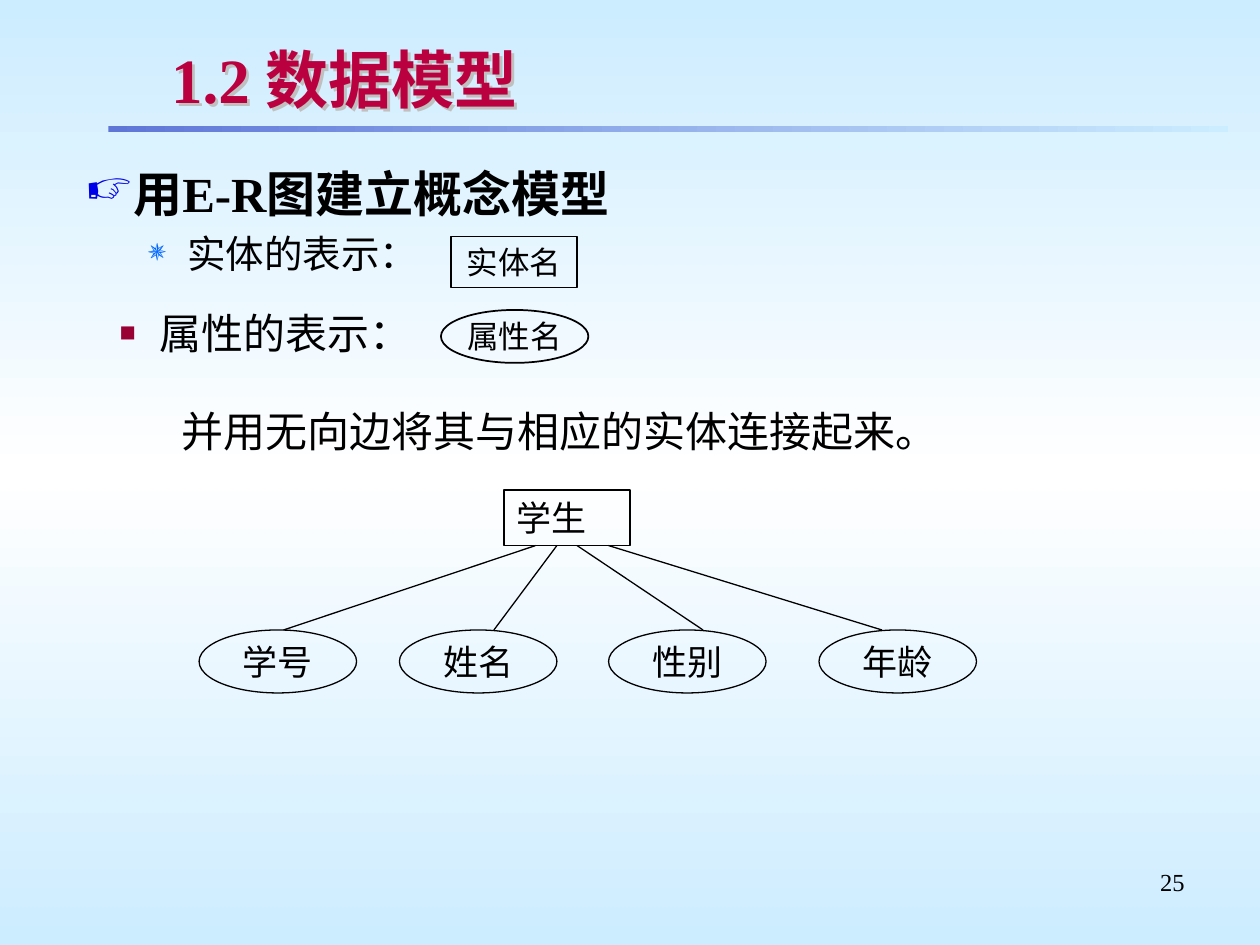
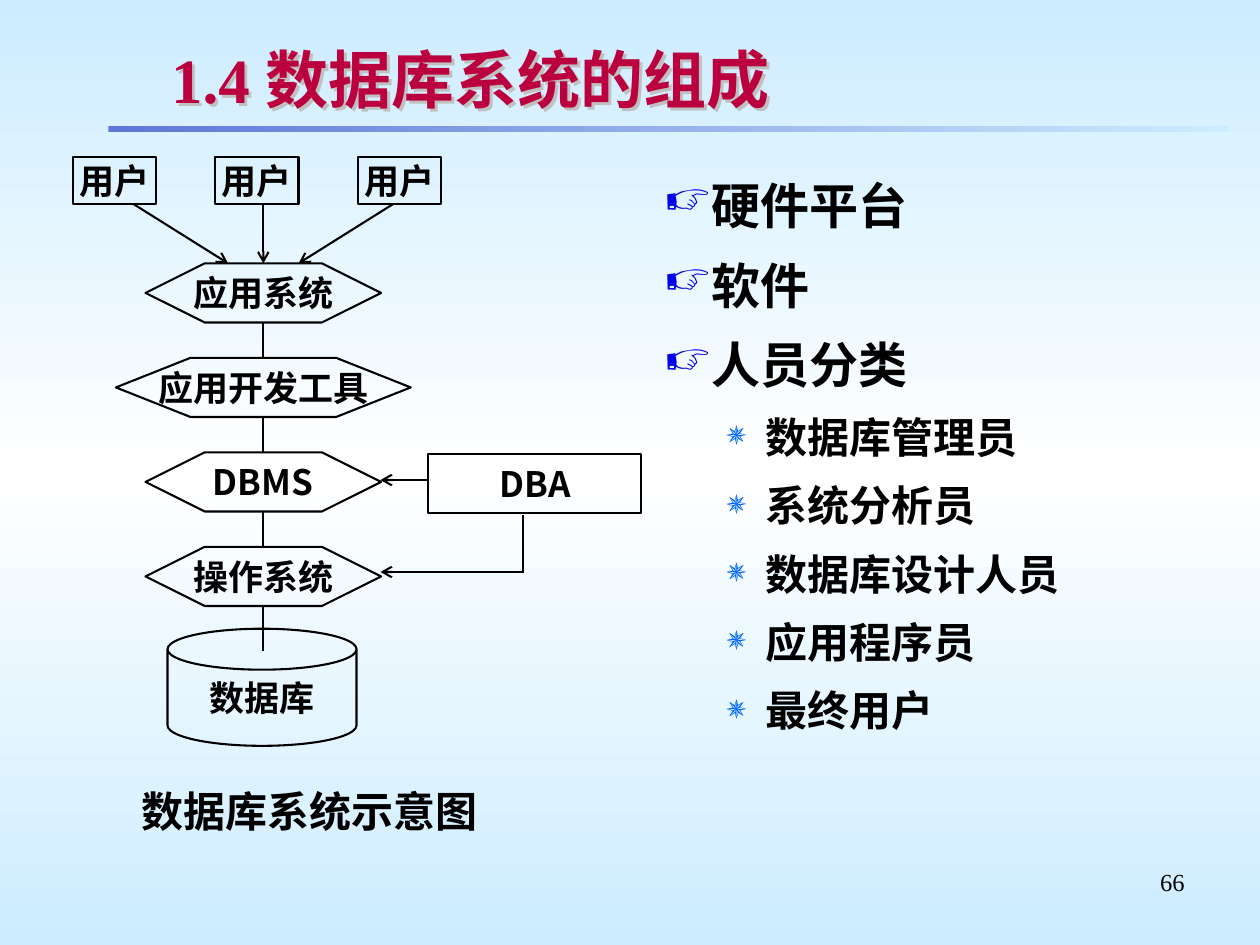
from lxml.etree import SubElement
from pptx import Presentation
from pptx.dml.color import RGBColor
from pptx.enum.shapes import MSO_CONNECTOR, MSO_SHAPE
from pptx.enum.text import MSO_ANCHOR, PP_ALIGN
from pptx.oxml.ns import qn
from pptx.util import Inches, Pt

COLORS = {
    "sky": "CCECFF", "white": "FFFFFF", "rule": "5F76D7", "title": "BA003E",
    "ink": "000000", "hand": "0000E8", "star": "0066FF", "square": "990033",
    "shade": "C0C0C0",
}
SERIF, SANS, PLAIN, SYMBOL = "Times New Roman", "Noto Sans CJK SC", "Karla", "OpenSymbol"
FONTS = {
    "title": {"name": SERIF, "size": Pt(36), "bold": True},
    "heading": {"name": SERIF, "size": Pt(28), "bold": True},
    "detail": {"name": SERIF, "size": Pt(22), "bold": False},
    "role": {"name": SANS, "size": Pt(24), "bold": True},
    "note": {"name": PLAIN, "size": Pt(24)},
    "symbol": {"name": PLAIN, "size": Pt(18)},
    "entity_symbol": {"name": SERIF, "size": Pt(18)},
    "entity": {"name": SERIF, "size": Pt(20)},
    "system": {"name": SANS, "size": Pt(20), "bold": True},
    "number": {"name": SERIF, "size": Pt(14)},
}
BULLETS = {
    "hand": {"char": "☞", "font": SYMBOL, "percent": 95, "margin": 0.38, "hang": 0.38},
    "star": {"char": "✵", "font": SYMBOL, "percent": 80, "margin": 0.81, "hang": 0.31},
    "square": {"char": "■", "font": SERIF, "percent": 64, "margin": 0.59, "hang": 0.32},
}


def apply(target, values):
    """Set every attribute given in a dict of format values."""
    for attribute, value in values.items():
        setattr(target, attribute, value)


def rgb(color):
    """Look up a named colour."""
    return RGBColor.from_string(COLORS[color])


def write(paragraph, text, style, color="ink"):
    """Add a styled run with Latin and East Asian fonts."""
    run = paragraph.add_run()
    run.text = text
    apply(run.font, FONTS[style])
    run.font.color.rgb = rgb(color)
    latin = run.font._element.find(qn("a:latin"))
    latin.addnext(latin.makeelement(qn("a:ea"), {"typeface": SANS}))


def set_gradient(fill, owner, angle, stops):
    """Fill with a linear gradient running through the named stops."""
    fill.gradient()
    fill.gradient_angle = angle
    stop_list = owner.find(".//" + qn("a:gsLst"))
    stop_list.clear()
    for index, color in enumerate(stops):
        position = 100000 * index // (len(stops) - 1)
        stop = SubElement(stop_list, qn("a:gs"), pos=str(position))
        SubElement(stop, qn("a:srgbClr"), val=COLORS[color])


def set_bullet(paragraph, kind):
    """Give a paragraph a hanging coloured bullet."""
    bullet = BULLETS[kind]
    properties = paragraph._p.get_or_add_pPr()
    properties.set("marL", str(Inches(bullet["margin"])))
    properties.set("indent", str(-Inches(bullet["hang"])))
    SubElement(SubElement(properties, qn("a:buClr")), qn("a:srgbClr"), val=COLORS[kind])
    SubElement(properties, qn("a:buSzPct"), val=str(bullet["percent"] * 1000))
    SubElement(properties, qn("a:buFont"), typeface=bullet["font"])
    SubElement(properties, qn("a:buChar"), char=bullet["char"])


def add_text_box(slide, box, anchor=MSO_ANCHOR.TOP, wrap=True):
    """Add an empty text box."""
    text_box = slide.shapes.add_textbox(*map(Inches, box))
    apply(text_box.text_frame, {"word_wrap": wrap, "vertical_anchor": anchor})
    return text_box


def add_label(slide, box, text, style, align=PP_ALIGN.LEFT, color="ink", **frame_format):
    """Add a one-paragraph text box."""
    label = add_text_box(slide, box, **frame_format)
    paragraph = label.text_frame.paragraphs[0]
    paragraph.alignment = align
    write(paragraph, text, style, color)
    return label


def add_outline(slide, box, items, spacing, align=PP_ALIGN.LEFT):
    """Add bulleted lines given as text, style, bullet and space before."""
    frame = add_text_box(slide, box).text_frame
    for index, (text, style, kind, before) in enumerate(items):
        paragraph = frame.add_paragraph() if index else frame.paragraphs[0]
        apply(paragraph, {"alignment": align, "line_spacing": spacing})
        if index:
            paragraph.space_before = Pt(before)
        set_bullet(paragraph, kind)
        write(paragraph, text, style)


def add_node(slide, kind, box, text, style, weight,
             align=PP_ALIGN.CENTER, anchor=MSO_ANCHOR.MIDDLE):
    """Add an outlined, unfilled diagram node."""
    node = slide.shapes.add_shape(kind, *map(Inches, box))
    node.shadow.inherit = False
    node.fill.background()
    node.line.color.rgb = rgb("ink")
    node.line.width = Pt(weight)
    apply(node.text_frame, {"word_wrap": False, "vertical_anchor": anchor})
    paragraph = node.text_frame.paragraphs[0]
    paragraph.alignment = align
    write(paragraph, text, style)
    return node


def add_link(slide, start, end, weight, arrow=False):
    """Draw a straight line, with an open arrowhead if asked."""
    link = slide.shapes.add_connector(MSO_CONNECTOR.STRAIGHT, *map(Inches, start + end))
    link.line.color.rgb = rgb("ink")
    link.line.width = Pt(weight)
    if arrow:
        SubElement(link.line._get_or_add_ln(), qn("a:tailEnd"), type="arrow")
    SubElement(link._element.spPr, qn("a:effectLst"))


def add_title(slide, title):
    """Write the shadowed section title."""
    heading = add_label(slide, (1.26, 0.29, 8.24, 0.67), title, "title",
                        color="title", anchor=MSO_ANCHOR.MIDDLE)
    effects = SubElement(heading._element.spPr, qn("a:effectLst"))
    shadow = SubElement(effects, qn("a:outerShdw"), dist="28398", dir="2700000")
    SubElement(shadow, qn("a:srgbClr"), val=COLORS["shade"])


def add_section_slide(deck, title, page):
    """Add a slide with the shared background, title, rule and page number."""
    slide = deck.slides.add_slide(deck.slide_layouts[6])
    set_gradient(slide.background.fill, slide.element, 90, ("sky", "white", "sky"))
    rule = slide.shapes.add_shape(
        MSO_SHAPE.RECTANGLE, *map(Inches, (0.86, 1, 8.89, 0.05)))
    rule.shadow.inherit = False
    rule.line.fill.background()
    set_gradient(rule.fill, rule.element, 0, ("rule", "sky"))
    add_label(slide, (7.17, 6.83, 2.33, 0.52), page, "number", PP_ALIGN.RIGHT)
    add_title(slide, title)
    return slide


def add_student_diagram(slide):
    """Draw the student entity joined to its attributes."""
    weight = 0.75
    add_node(slide, MSO_SHAPE.RECTANGLE, (4, 3.89, 1, 0.44), "学生", "entity",
             weight, PP_ALIGN.LEFT, MSO_ANCHOR.TOP)
    attributes = (("学号", 1.58, 4.25, 2.25), ("姓名", 3.17, 4.42, 3.92),
                  ("性别", 4.83, 4.58, 5.58), ("年龄", 6.5, 4.83, 7))
    for name, left, entity_x, attribute_x in attributes:
        add_node(slide, MSO_SHAPE.OVAL, (left, 5, 1.25, 0.5), name, "entity", weight)
        add_link(slide, (entity_x, 4.33), (attribute_x, 5), weight)


def add_system_diagram(slide):
    """Draw the database system layers from users to data."""
    weight, axis, height, pitch, first_top = 1.19, 2.09, 0.47, 0.75, 2.09
    for offset in (-1, 0, 1):
        add_node(slide, MSO_SHAPE.RECTANGLE, (1.71 + 1.13 * offset, 1.25, 0.66, 0.37),
                 "用户", "system", weight)
        add_link(slide, (axis + 1.03 * offset, 1.62),
                 (axis + 0.28 * offset, first_top), weight, True)
    layers = (("应用系统", 1.87, 1), ("应用开发工具", 2.34, 1.26),
              ("DBMS", 1.87, 1), ("操作系统", 1.87, 1))
    for index, (name, width, slant) in enumerate(layers):
        top = first_top + pitch * index
        layer = add_node(slide, MSO_SHAPE.HEXAGON,
                         (axis - width / 2, top, width, height), name, "system", weight)
        layer.adjustments[0] = slant
        link_end = 5.17 if index == len(layers) - 1 else top + pitch
        add_link(slide, (axis, top + height), (axis, link_end), weight)
    database = add_node(slide, MSO_SHAPE.CAN, (1.33, 4.99, 1.5, 0.93),
                        "数据库", "system", weight)
    database.adjustments[0] = 0.35
    add_node(slide, MSO_SHAPE.RECTANGLE, (3.4, 3.6, 1.69, height), "DBA", "system", weight)
    add_link(slide, (3.4, 3.81), (3.02, 3.81), weight, True)
    add_link(slide, (4.15, 4.09), (4.15, 4.55), weight)
    add_link(slide, (4.14, 4.54), (3.02, 4.54), weight, True)
    add_label(slide, (0.96, 6.2, 3, height), "数据库系统示意图", "role",
              PP_ALIGN.CENTER, anchor=MSO_ANCHOR.MIDDLE)


def build_model_slide(deck):
    """Build the slide on entity and attribute notation."""
    slide = add_section_slide(deck, "1.2 数据模型", "25")
    add_outline(slide, (0.58, 1.25, 4.79, 1.2),
                (("用E-R图建立概念模型", "heading", "hand", 0),
                 ("实体的表示：", "detail", "star", 4.1)), 1.0)
    add_node(slide, MSO_SHAPE.OVAL, (3.5, 2.46, 1.17, 0.42), "属性名", "symbol", 1)
    add_student_diagram(slide)
    add_node(slide, MSO_SHAPE.RECTANGLE, (3.58, 1.88, 1, 0.4), "实体名",
             "entity_symbol", 0.75, anchor=MSO_ANCHOR.TOP)
    add_outline(slide, (0.58, 2.39, 3.08, 0.57),
                (("属性的表示：", "note", "square", 0),), 1.0)
    add_label(slide, (1.34, 3.17, 6.2, 0.5),
              "并用无向边将其与相应的实体连接起来。", "note", wrap=False)


def build_system_slide(deck):
    """Build the slide on the parts of a database system."""
    slide = add_section_slide(deck, "1.4 数据库系统的组成", "66")
    add_system_diagram(slide)
    parts = ("硬件平台", "软件", "人员分类")
    roles = ("数据库管理员", "系统分析员", "数据库设计人员", "应用程序员", "最终用户")
    items = [(part, "heading", "hand", 5.2) for part in parts]
    items += [(role, "role", "star", 4.5) for role in roles]
    add_outline(slide, (5.17, 1.25, 4.33, 5.83), items, 1.2, PP_ALIGN.JUSTIFY)


def main():
    """Build and save the deck."""
    deck = Presentation()
    apply(deck, {"slide_width": Inches(10), "slide_height": Inches(7.5)})
    build_model_slide(deck)
    build_system_slide(deck)
    deck.save("out.pptx")


if __name__ == "__main__":
    main()
